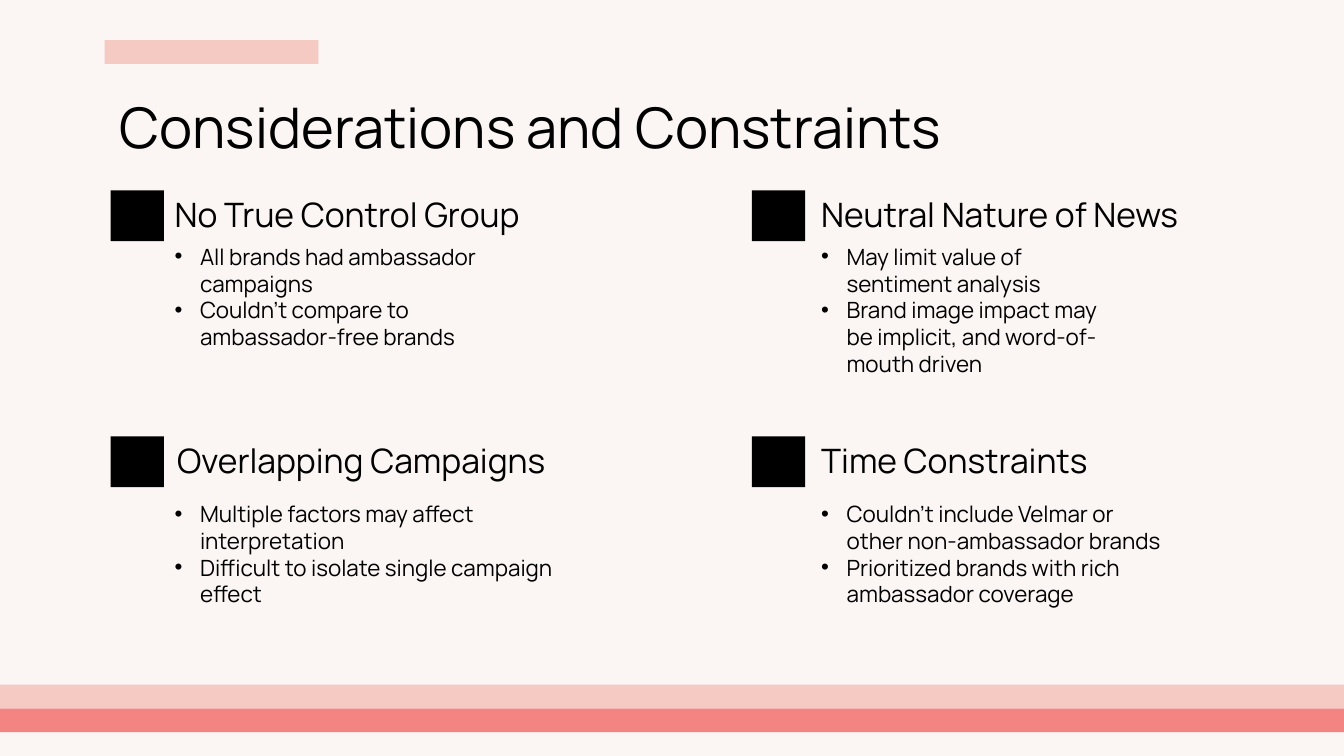
from lxml import etree
from pptx import Presentation
from pptx import util as u
from pptx.dml.color import RGBColor
from pptx.enum import shapes, text
from pptx.oxml import ns


def colour(value):
    """Turn a hex string into a colour."""
    return RGBColor.from_string(value)


def write(para, words, size=12, face="Manrope", ink="000000", bullet=False):
    """Put formatted words into a paragraph."""
    para.alignment = text.PP_ALIGN.LEFT
    para.space_before = para.space_after = u.Pt(0)
    span = para.add_run()
    span.text = words
    span.font.size, span.font.name, span.font.bold = u.Pt(size), face, False
    span.font.color.rgb = colour(ink)
    props = para._p.get_or_add_pPr()
    indent = u.Cm(0.48) if bullet else 0
    props.set("marL", str(indent))
    props.set("indent", str(-indent))
    if bullet:
        tint = etree.SubElement(props, ns.qn("a:buClr"))
        etree.SubElement(tint, ns.qn("a:srgbClr"), val=ink)
        etree.SubElement(props, ns.qn("a:buFont"), typeface="Arial")
        etree.SubElement(props, ns.qn("a:buChar"), char="•")
    else:
        etree.SubElement(props, ns.qn("a:buNone"))


class Composer:
    """Hold the style and the current page."""

    def __init__(self, deck, background):
        """Add a page with a plain background."""
        self.page = deck.slides.add_slide(deck.slide_layouts[4])
        self.page.background.fill.solid()
        self.page.background.fill.fore_color.rgb = colour(background)

    def block(self, left, top, width, height, fill):
        """Draw a plain filled rectangle."""
        box = self.page.shapes.add_shape(
            shapes.MSO_SHAPE.RECTANGLE, *map(u.Cm, (left, top, width, height)))
        box.shadow.inherit = False
        box.fill.solid()
        box.fill.fore_color.rgb = colour(fill)
        box.line.fill.background()

    def fill_box(self, box, place, lines, anchor=text.MSO_ANCHOR.TOP, **style):
        """Place a text holder and write its lines."""
        box.left, box.top, box.width, box.height = map(u.Cm, place)
        frame = box.text_frame
        frame.word_wrap = True
        frame.auto_size = text.MSO_AUTO_SIZE.NONE
        frame.vertical_anchor = anchor
        frame.margin_left = frame.margin_right = u.Cm(0.25)
        frame.margin_top = frame.margin_bottom = u.Cm(0.25)
        for number, words in enumerate(lines):
            para = frame.add_paragraph() if number else frame.paragraphs[0]
            write(para, words, **style)

    def title(self, place, words):
        """Write the page title."""
        self.fill_box(self.page.shapes.title, place, [words], size=30)

    def heading(self, place, words):
        """Write a topic heading."""
        box = self.page.shapes.add_textbox(*map(u.Cm, place))
        self.fill_box(box, place, [words], text.MSO_ANCHOR.BOTTOM, size=18)

    def bullets(self, number, place, lines):
        """Write a bulleted list in a body placeholder."""
        self.fill_box(self.page.placeholders[number], place, lines, bullet=True)


def main():
    """Build the page of considerations."""
    deck = Presentation()
    deck.slide_width, deck.slide_height = u.Cm(25.4), u.Cm(14.29)
    composer = Composer(deck, "FBF5F3")
    for left, top, width, fill in [(0, 13.39, 25.4, "F28482"),
                                   (0, 12.94, 25.4, "F5CAC3"),
                                   (1.98, 0.76, 4.04, "F5CAC3")]:
        composer.block(left, top, width, 0.45, fill)
    composer.title((2.01, 1.5, 21.41, 1.6), "Considerations and Constraints")

    topics = [
        ("No True Control Group", 3.05, 6.63,
         ["All brands had ambassador campaigns",
          "Couldn’t compare to ambassador-free brands"]),
        ("Neutral Nature of News", 15.27, 6.2,
         ["May limit value of sentiment analysis",
          "Brand image impact may be implicit, and word-of-mouth driven"]),
        ("Overlapping Campaigns", 3.1, 7.7,
         ["Multiple factors may affect interpretation",
          "Difficult to isolate single campaign effect"]),
        ("Time Constraints", 15.27, 7.04,
         ["Couldn’t include Velmar or other non-ambassador brands",
          "Prioritized brands with rich ambassador coverage"]),
    ]
    marks, lists = (2.09, 14.21), (3.05, 15.27)
    heads, bodies = (3.63, 8.28), (4.34, 9.2)
    for number, (name, left, width, lines) in enumerate(topics):
        row, column = divmod(number, 2)
        composer.block(marks[column], heads[row] - 0.03, 1.01, 0.96, "000000")
        composer.heading((left, heads[row], 8.5, 1.04), name)
        composer.bullets(number + 1, (lists[column], bodies[row], width, 3.2), lines)
    deck.save("out.pptx")


if __name__ == "__main__":
    main()
